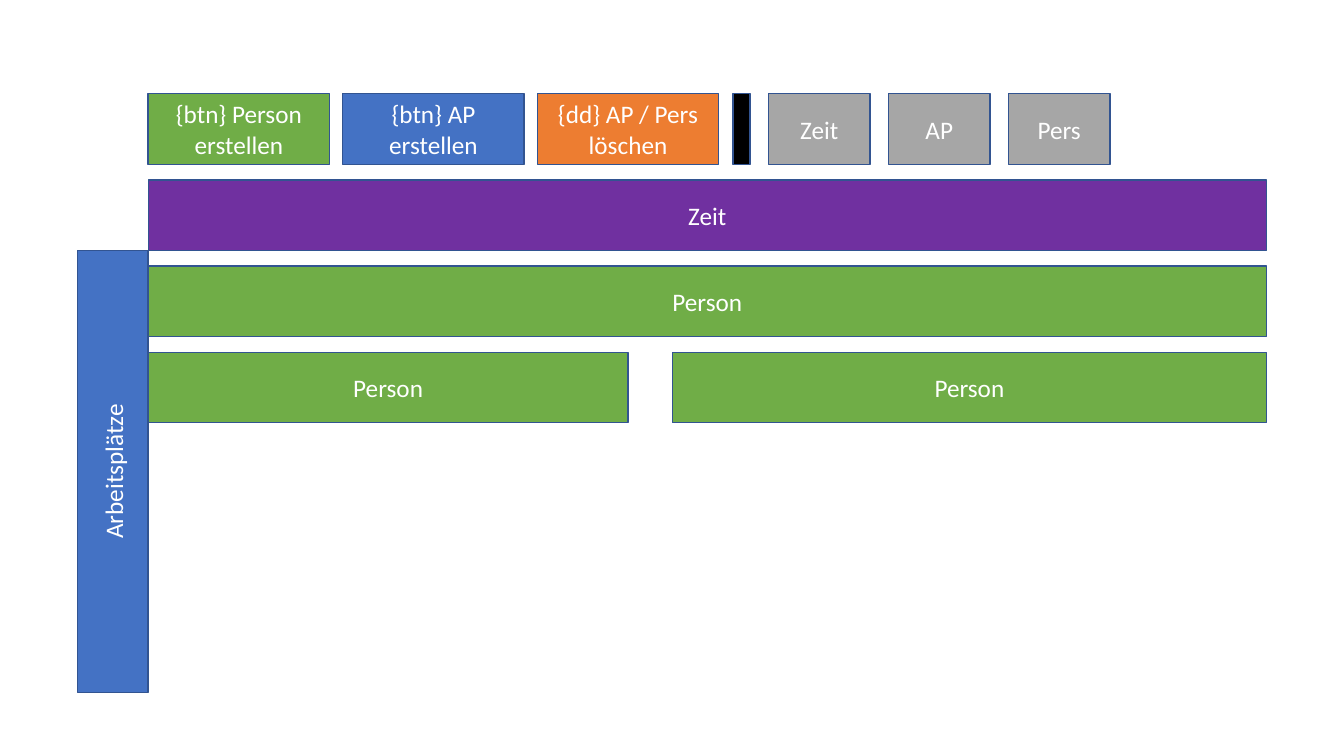
from dataclasses import dataclass

from pptx import Presentation
from pptx.dml.color import RGBColor
from pptx.enum.shapes import MSO_SHAPE as Shape
from pptx.enum.text import MSO_ANCHOR as Anchor, PP_ALIGN as Align
from pptx.util import Inches, Pt

SLIDE_WIDTH, SLIDE_HEIGHT = 13.33, 7.5
BOARD_LEFT, BOARD_TOP, BOARD_WIDTH = 1.47, 0.93, 11.09
ROW_HEIGHT, ROW_GAP = 0.7, 0.155
ROW_PITCH = ROW_HEIGHT + ROW_GAP
SIDEBAR_ROWS = 5.13

BLUE, GREEN, ORANGE = "4472C4", "70AD47", "ED7D31"
PURPLE, GRAY, BLACK = "7030A0", "A6A6A6", "000000"
WHITE, OUTLINE = "FFFFFF", "325491"


@dataclass(frozen=True)
class Block:
    label: str
    fill: str
    row: int
    start: float = 0
    share: float = 100


def color(code: str) -> RGBColor:
    return RGBColor.from_string(code)


def write_text(box, text: str, *, size: float = 18, font: str = "Calibri",
               ink: str = WHITE, align: Align = Align.CENTER) -> None:
    frame = box.text_frame
    frame.word_wrap = True
    frame.vertical_anchor = Anchor.MIDDLE
    para = frame.paragraphs[0]
    para.alignment = align
    span = para.add_run()
    span.text = text
    span.font.size = Pt(size)
    span.font.name = font
    span.font.color.rgb = color(ink)


def draw_box(page, label: str, fill: str, left: float, top: float,
             width: float, height: float, rotation: float = 0) -> None:
    box = page.shapes.add_shape(Shape.RECTANGLE, Inches(left), Inches(top),
                                Inches(width), Inches(height))
    box.rotation = rotation
    box.shadow.inherit = False
    box.fill.solid()
    box.fill.fore_color.rgb = color(fill)
    box.line.color.rgb = color(OUTLINE)
    box.line.width = Pt(1)
    if label:
        write_text(box, label)


def draw_block(page, block: Block) -> None:
    draw_box(page, block.label, block.fill,
             BOARD_LEFT + BOARD_WIDTH * block.start / 100,
             BOARD_TOP + ROW_PITCH * block.row,
             BOARD_WIDTH * block.share / 100, ROW_HEIGHT)


def draw_sidebar(page, label: str) -> None:
    length = SIDEBAR_ROWS * ROW_PITCH
    center_x = BOARD_LEFT - ROW_HEIGHT / 2
    center_y = BOARD_TOP + ROW_PITCH + ROW_HEIGHT + length / 2
    draw_box(page, label, BLUE, center_x - length / 2,
             center_y - ROW_HEIGHT / 2, length, ROW_HEIGHT, rotation=270)


def toolbar(items: list[tuple[str, str]], start: float, pitch: float,
            share: float) -> list[Block]:
    return [Block(label, fill, 0, start + index * pitch, share)
            for index, (label, fill) in enumerate(items)]


schedule = [
    Block("Zeit", PURPLE, 1),
    Block("Person", GREEN, 2),
    Block("Person", GREEN, 3, 0, 42.92),
    Block("Person", GREEN, 3, 46.89, 53.11),
]
buttons = toolbar([("{btn} Person erstellen", GREEN),
                   ("{btn} AP erstellen", BLUE),
                   ("{dd} AP / Pers löschen", ORANGE)], 0, 17.4, 16.23)
divider = Block("", BLACK, 0, 52.3, 1.53)
filters = toolbar([(label, GRAY) for label in ("Zeit", "AP", "Pers")],
                  55.46, 10.73, 9.11)

deck = Presentation()
deck.slide_width = Inches(SLIDE_WIDTH)
deck.slide_height = Inches(SLIDE_HEIGHT)
page = deck.slides.add_slide(deck.slide_layouts[6])

draw_sidebar(page, "Arbeitsplätze")
for block in [*schedule, *buttons, divider, *filters]:
    draw_block(page, block)

deck.save("out.pptx")
